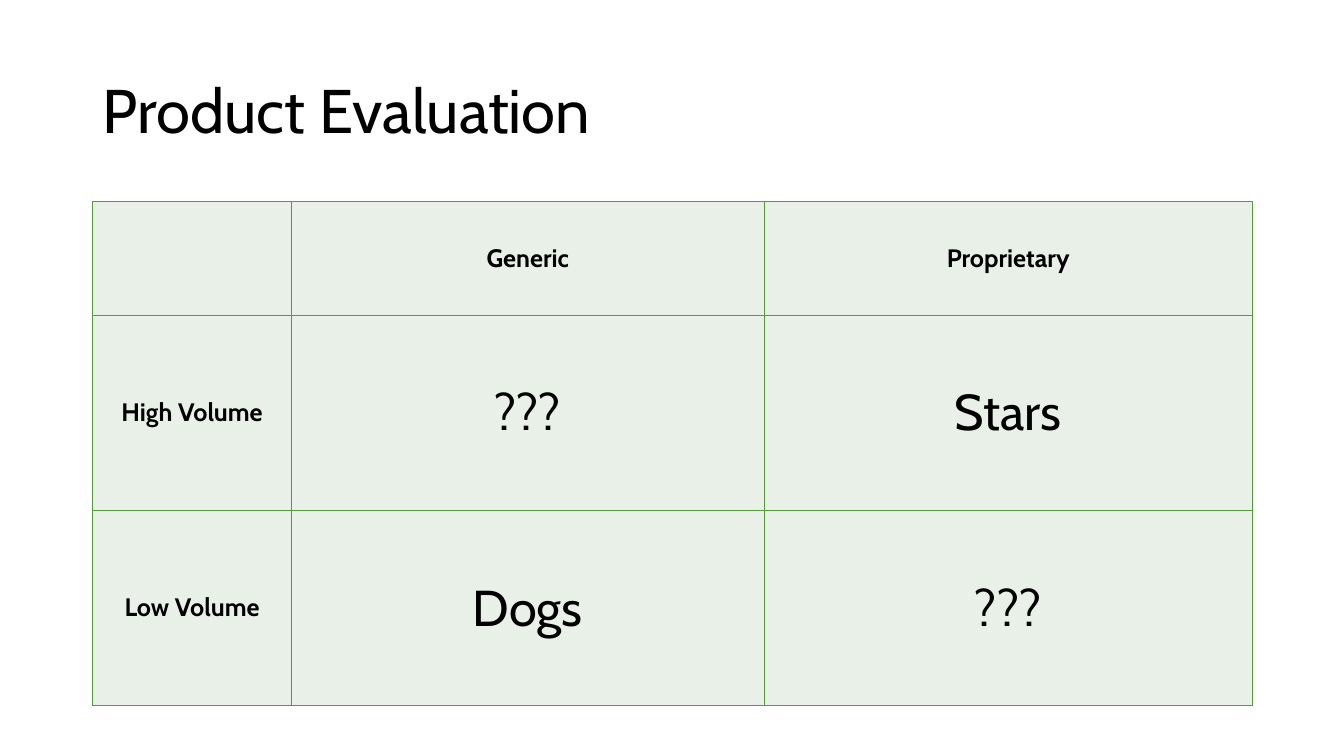
from lxml.etree import SubElement
from pptx import Presentation
from pptx.dml.color import RGBColor
from pptx.enum.text import MSO_ANCHOR, PP_ALIGN
from pptx.oxml.ns import qn
from pptx.util import Inches, Pt

BLACK = RGBColor(0x00, 0x00, 0x00)
WHITE = RGBColor(0xFF, 0xFF, 0xFF)
GREEN = RGBColor(0x54, 0x9E, 0x39)
PALE_GREEN = RGBColor(0xE9, 0xF0, 0xE8)
FONT = "Cabin"

MATRIX = [
    ["", "Generic", "Proprietary"],
    ["High Volume", "???", "Stars"],
    ["Low Volume", "Dogs", "???"],
]
COLUMN_WIDTHS = [1.97, 4.69, 4.84]
ROW_HEIGHTS = [1.13, 1.94, 1.94]


def add_run(paragraph, text, size, bold=False):
    run = paragraph.add_run()
    run.text = text
    run.font.name = FONT
    run.font.size = Pt(size)
    run.font.bold = bold
    run.font.color.rgb = BLACK


def set_borders(cell, color, width):
    """Draw the four sides of a cell; borders precede the fill in the XML."""
    properties = cell._tc.get_or_add_tcPr()
    for position, side in enumerate(("a:lnL", "a:lnR", "a:lnT", "a:lnB")):
        line = SubElement(properties, qn(side), w=str(Pt(width)))
        fill = SubElement(line, qn("a:solidFill"))
        SubElement(fill, qn("a:srgbClr"), val=str(color))
        properties.insert(position, line)


def add_title(slide, text, left, top, width, height):
    title = slide.shapes.title
    title.left, title.top = Inches(left), Inches(top)
    title.width, title.height = Inches(width), Inches(height)
    frame = title.text_frame
    frame.word_wrap = True
    frame.vertical_anchor = MSO_ANCHOR.MIDDLE
    paragraph = frame.paragraphs[0]
    paragraph.alignment = PP_ALIGN.LEFT
    paragraph.line_spacing = 0.9
    add_run(paragraph, text, 44)


def add_matrix(slide, left, top, width, height):
    table = slide.shapes.add_table(
        len(MATRIX), len(MATRIX[0]),
        Inches(left), Inches(top), Inches(width), Inches(height)).table
    table.first_row = table.horz_banding = False

    # Share the box out between columns and rows
    for column, share in zip(table.columns, COLUMN_WIDTHS):
        column.width = Inches(width * share / sum(COLUMN_WIDTHS))
    for row, share in zip(table.rows, ROW_HEIGHTS):
        row.height = Inches(height * share / sum(ROW_HEIGHTS))

    # Headings are small and bold, the quadrants large
    for row_index, texts in enumerate(MATRIX):
        for column_index, text in enumerate(texts):
            cell = table.cell(row_index, column_index)
            cell.fill.solid()
            cell.fill.fore_color.rgb = PALE_GREEN
            set_borders(cell, GREEN, 1)
            cell.vertical_anchor = MSO_ANCHOR.MIDDLE
            paragraph = cell.text_frame.paragraphs[0]
            paragraph.alignment = PP_ALIGN.CENTER
            heading = row_index == 0 or column_index == 0
            if text:
                add_run(paragraph, text, 18 if heading else 36, heading)


def main():
    presentation = Presentation()
    presentation.slide_width = Inches(13.33)
    presentation.slide_height = Inches(7.5)
    slide = presentation.slides.add_slide(presentation.slide_layouts[5])
    slide.background.fill.solid()
    slide.background.fill.fore_color.rgb = WHITE

    # Title and matrix share the same left edge and width
    margin, width = 0.92, 11.5
    add_title(slide, "Product Evaluation", margin, 0.4, width, 1.45)
    add_matrix(slide, margin, 2, width, 5)
    presentation.save("out.pptx")


if __name__ == "__main__":
    main()
